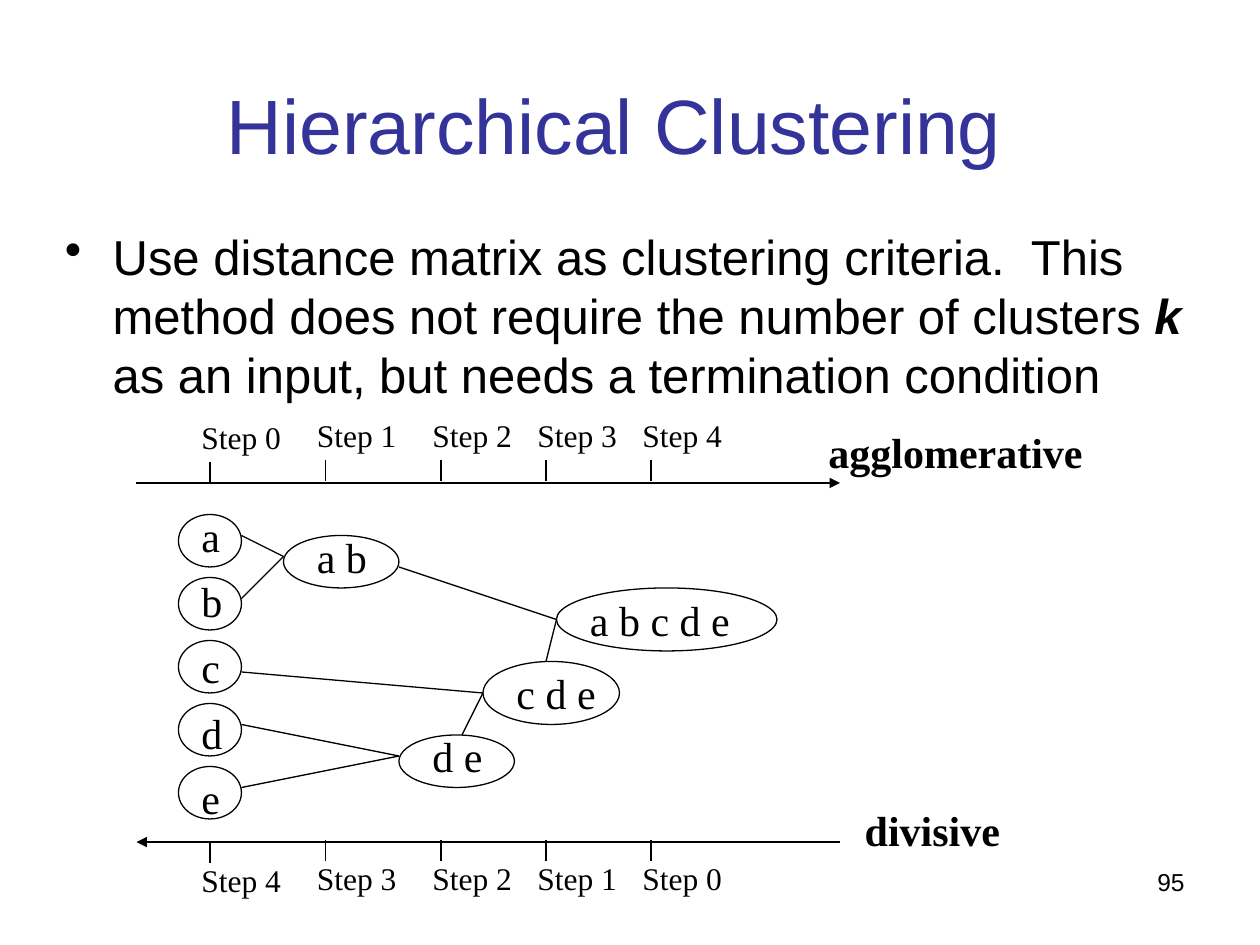
import pptx
import pptx.util
import pptx.dml.color
import pptx.enum.shapes
import pptx.enum.text
import pptx.oxml.ns
from dataclasses import dataclass
from lxml import etree

COLORS = {"title": "333399", "ink": "000000"}
SANS, SERIF = "Arial", "Times New Roman"
ALIGN = pptx.enum.text.PP_ALIGN
NODE_ROWS = 5

presentation = pptx.Presentation()
presentation.slide_width = pptx.util.Inches(10)
presentation.slide_height = pptx.util.Inches(7.5)
slide = presentation.slides.add_slide(presentation.slide_layouts[6])

# Grid of 120 columns by 90 rows, twelve to the inch
COLUMN = presentation.slide_width / 120
ROW = presentation.slide_height / 90


@dataclass
class Cluster:
    members: str
    col: float
    row: float
    cols: float
    rows: float
    text_col: float
    text_row: float
    text_cols: float


@dataclass
class Axis:
    row: float
    tick_row: float
    label_row: float
    first_drop: float  # the first step sits slightly lower
    steps: list[int]
    arrow: str


@dataclass
class Link:
    start: tuple[float, float]
    end: tuple[float, float]


def color(name: str) -> pptx.dml.color.RGBColor:
    return pptx.dml.color.RGBColor.from_string(COLORS[name])


def place(col: float, row: float) -> tuple[int, int]:
    return round(col * COLUMN), round(row * ROW)


def add_text(text: str, col: float, row: float, cols: float, rows: float, size: float,
             face: str = SERIF, align: ALIGN = ALIGN.LEFT, ink: str = "ink",
             bold: bool = False, wrap: bool = True):
    box = slide.shapes.add_textbox(*place(col, row), *place(cols, rows))
    box.text_frame.word_wrap = wrap
    paragraph = box.text_frame.paragraphs[0]
    paragraph.text = text
    paragraph.alignment = align
    paragraph.font.name = face
    paragraph.font.size = pptx.util.Pt(size)
    paragraph.font.bold = bold
    paragraph.font.color.rgb = color(ink)
    return box


def add_line(start: tuple[float, float], end: tuple[float, float],
             width: float = 0.75, arrow: str = "") -> None:
    line = slide.shapes.add_connector(
        pptx.enum.shapes.MSO_CONNECTOR.STRAIGHT, *place(*start), *place(*end))
    line.line.color.rgb = color("ink")
    line.line.width = pptx.util.Pt(width)
    if arrow:
        etree.SubElement(line.line._get_or_add_ln(),
                         pptx.oxml.ns.qn(f"a:{arrow}"), type="triangle")
    etree.SubElement(line._element.spPr, pptx.oxml.ns.qn("a:effectLst"))


def add_cluster(cluster: Cluster) -> None:
    add_text(cluster.members, cluster.text_col, cluster.text_row,
             cluster.text_cols, 6, 24, wrap=False)
    ellipse = slide.shapes.add_shape(
        pptx.enum.shapes.MSO_SHAPE.OVAL,
        *place(cluster.col, cluster.row), *place(cluster.cols, cluster.rows))
    ellipse.shadow.inherit = False
    ellipse.fill.background()
    ellipse.line.color.rgb = color("ink")
    ellipse.line.width = pptx.util.Pt(0.75)


def add_axis(axis: Axis) -> None:
    add_line((13, axis.row), (80, axis.row), 1.5, axis.arrow)
    for index, (col, step) in enumerate(zip(STEP_COLS, axis.steps)):
        drop = axis.first_drop if index == 0 else 0
        top = axis.tick_row + drop
        add_line((col, top), (col, top + 2))
        add_text(f"Step {step}", col - 2, axis.label_row + drop, 10, 4.8, 18)


# Page number and title
add_text("95", 86, 82, 28, 6.2, 14, SANS, ALIGN.RIGHT)
title = add_text("Hierarchical Clustering", 7.9, 6.3, 101.2, 10.9, 44, SANS,
                 ALIGN.CENTER, "title")
title.text_frame.vertical_anchor = pptx.enum.text.MSO_ANCHOR.MIDDLE

# Bullet
body = add_text("", 5, 21, 109, 64, 28, SANS)
bullet = body.text_frame.paragraphs[0]
properties = bullet._p.get_or_add_pPr()
indent = pptx.util.Inches(0.38)
properties.set("marL", str(indent))
properties.set("indent", str(-indent))
mark = etree.Element(pptx.oxml.ns.qn("a:buChar"), char="•")
properties.find(pptx.oxml.ns.qn("a:defRPr")).addprevious(mark)
bullet.add_run().text = ("Use distance matrix as clustering criteria.  This method "
                         "does not require the number of clusters ")
variable = bullet.add_run()
variable.text = "k"
variable.font.bold = variable.font.italic = True
bullet.add_run().text = " as an input, but needs a termination condition"

# Step axes
STEP_COLS = [20, 31, 42, 52, 62]
for axis in [
    Axis(46, 43.8, 39, 0.2, [0, 1, 2, 3, 4], "tailEnd"),
    Axis(80.2, 80, 81.2, 0.2, [4, 3, 2, 1, 0], "headEnd"),
]:
    add_axis(axis)

# Single items, then merged clusters
singles = [
    Cluster(item, 17, 49 + 6 * index, 6, NODE_ROWS, 18, 48 + 6.25 * index, 4.2)
    for index, item in enumerate("abcde")
]
merged = [
    Cluster("a b", 27, 51, 11, NODE_ROWS, 29, 50, 7.2),
    Cluster("d e", 38, 70, 11, NODE_ROWS, 40, 69, 7.2),
    Cluster("c d e", 46, 63, 13, 6, 48, 63, 10),
    Cluster("a b c d e", 53, 56, 21, 6, 55, 56, 15.7),
]
for cluster in singles + merged:
    add_cluster(cluster)

# Links between clusters
for link in [
    Link((23, 51), (27, 53)),
    Link((23, 57), (27, 53)),
    Link((23, 69), (38, 72)),
    Link((23, 75), (38, 72)),
    Link((23, 64), (46, 66)),
    Link((44, 70), (46, 66)),
    Link((38, 54), (53, 59)),
    Link((52, 63), (53, 59)),
]:
    add_line(link.start, link.end)

# Direction names
for direction, col, row, cols in [("agglomerative", 77, 40, 28),
                                  ("divisive", 80.3, 76, 17)]:
    add_text(direction, col, row, cols, 10.8, 24, align=ALIGN.CENTER,
             bold=True, wrap=False)

presentation.save("out.pptx")
